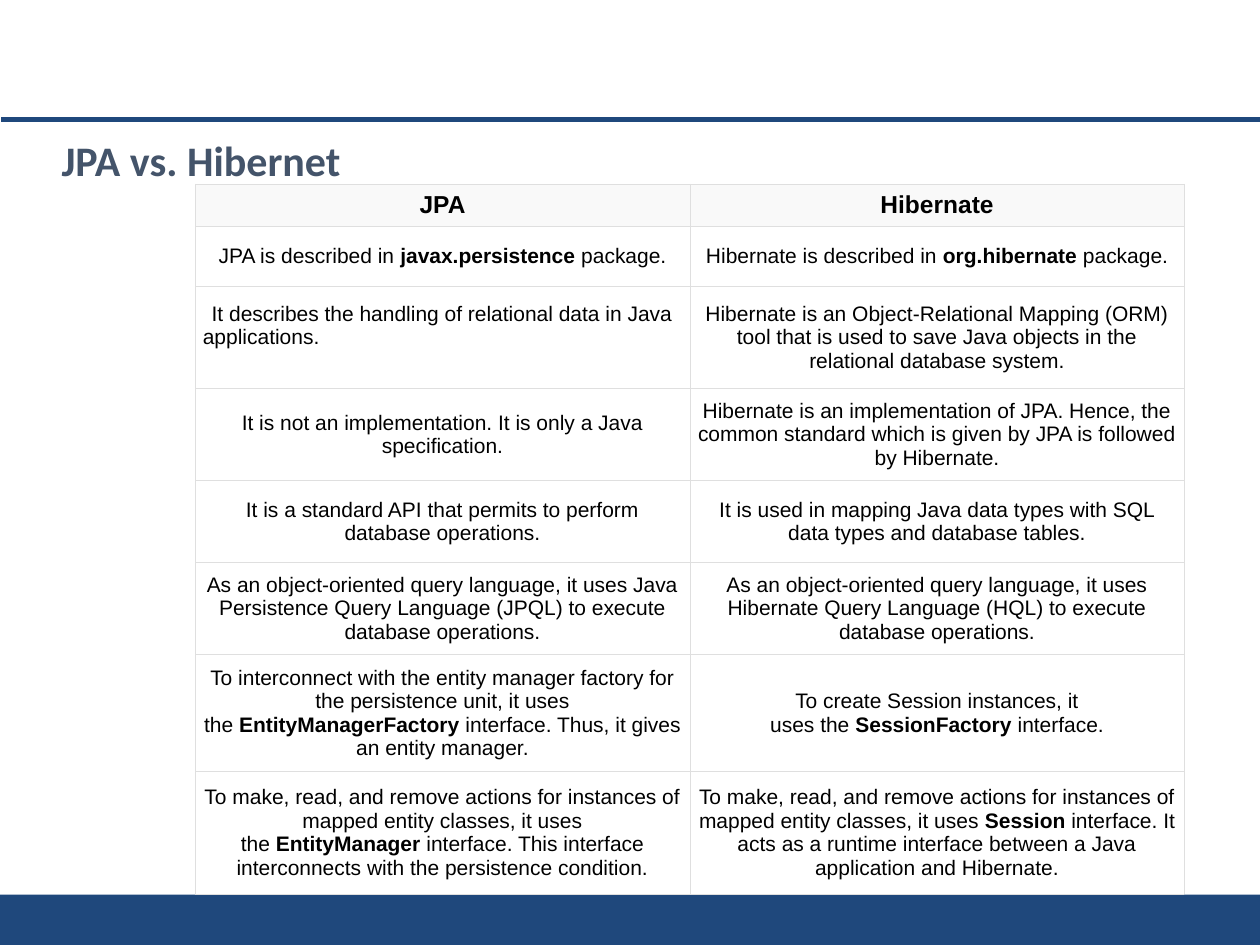
from lxml import etree
from pptx import Presentation
from pptx.dml.color import RGBColor
from pptx.enum.shapes import MSO_CONNECTOR as Link, MSO_SHAPE as Shape
from pptx.enum.text import MSO_ANCHOR as Anchor, PP_ALIGN as Align
from pptx.oxml.ns import qn
from pptx.util import Inches, Pt

NAVY = RGBColor(0x1F, 0x48, 0x7C)
SLATE = RGBColor(0x44, 0x54, 0x6A)
BLACK = RGBColor(0, 0, 0)
WHITE = RGBColor(255, 255, 255)
PALE = RGBColor(0xF9, 0xF9, 0xF9)
GRID = RGBColor(0xDF, 0xDF, 0xDF)
HARD = chr(160)  # no-break space, marked ~ in the texts below

# Row height, JPA text, Hibernate text; *stars* mark bold
ROWS = [
    (0.33, "*JPA*", "*Hibernate*"),
    (0.48, "JPA is described in~*javax.persistence*~package.",
     "Hibernate is described in~*org.hibernate*~package."),
    (0.81, "It describes the handling of relational data in Java applications.",
     "Hibernate is an Object-Relational Mapping (ORM) tool that is used to "
     "save Java objects in the relational database system."),
    (0.73, "It is not an implementation. It is only a Java specification.",
     "Hibernate is an implementation of JPA. Hence, the common standard "
     "which is given by JPA is followed by Hibernate."),
    (0.65, "It is a standard API that permits to perform database operations.",
     "It is used in mapping Java data types with SQL data types and "
     "database tables."),
    (0.73, "As an object-oriented query language, it uses Java Persistence "
     "Query Language (JPQL) to execute database operations.",
     "As an object-oriented query language, it uses Hibernate Query "
     "Language (HQL) to execute database operations."),
    (0.93, "To interconnect with the entity manager factory for the "
     "persistence unit, it uses the~*EntityManagerFactory*~interface. "
     "Thus, it gives an entity manager.",
     "To create Session instances, it uses~the~*SessionFactory*~interface."),
    (0.97, "To make, read, and remove actions for instances of mapped entity "
     "classes, it uses the~*EntityManager*~interface. This interface "
     "interconnects with the persistence condition.",
     "To make, read, and remove actions for instances of mapped entity "
     "classes, it uses~*Session*~interface. It acts as a runtime interface "
     "between a Java application and Hibernate."),
]


def add_run(para, text, size, face, color, bold):
    run = para.add_run()
    run.text = text
    font = run.font
    font.size, font.name, font.bold = Pt(size), face, bold
    font.color.rgb = color


def add_bar(slide, x, y, w, h):
    bar = slide.shapes.add_shape(
        Shape.RECTANGLE, Inches(x), Inches(y), Inches(w), Inches(h))
    bar.shadow.inherit = False
    bar.fill.solid()
    bar.fill.fore_color.rgb = NAVY
    bar.line.fill.background()


def add_head(slide, x, y, w, h):
    # Title
    box = slide.shapes.add_textbox(Inches(x), Inches(y), Inches(w), Inches(h))
    box.text_frame.word_wrap = True
    add_run(box.text_frame.paragraphs[0], "JPA vs. Hibernet",
            24, "Calibri", SLATE, True)
    # Rule above the title
    top = Inches(y - 0.07)
    rule = slide.shapes.add_connector(
        Link.STRAIGHT, Inches(0.01), top, Inches(10.06), top)
    rule.line.color.rgb = NAVY
    rule.line.width = Pt(3)
    etree.SubElement(rule.element.spPr, qn("a:effectLst"))


def add_edges(cell):
    props = cell._tc.get_or_add_tcPr()
    for spot, side in enumerate(("lnL", "lnR", "lnT", "lnB")):
        line = etree.Element(qn("a:" + side), w=str(Pt(0.15)))
        fill = etree.SubElement(line, qn("a:solidFill"))
        etree.SubElement(fill, qn("a:srgbClr"), val=str(GRID))
        props.insert(spot, line)


def fill_cell(cell, text, head):
    cell.fill.solid()
    cell.fill.fore_color.rgb = PALE if head else WHITE
    cell.vertical_anchor = Anchor.MIDDLE
    cell.margin_left = cell.margin_right = Inches(0.05)
    cell.margin_top = cell.margin_bottom = Inches(0.05 if head else 0.06)
    para = cell.text_frame.paragraphs[0]
    para.alignment = Align.CENTER
    for spot, part in enumerate(text.replace("~", HARD).split("*")):
        if part:
            add_run(para, part, 14 if head else 12, "Arial", BLACK,
                    spot % 2 == 1)
    add_edges(cell)


def add_grid(slide, x, y, w):
    high = sum(row[0] for row in ROWS)
    table = slide.shapes.add_table(
        len(ROWS), 2, Inches(x), Inches(y), Inches(w), Inches(high)).table
    table.first_row = table.horz_banding = False
    for col in table.columns:
        col.width = Inches(w / 2)
    for r, (tall, *texts) in enumerate(ROWS):
        table.rows[r].height = Inches(tall)
        for c, text in enumerate(texts):
            fill_cell(table.cell(r, c), text, r == 0)
    # The one left-set cell: first line indented, text raised a little
    cell = table.cell(2, 0)
    cell.margin_bottom = Inches(0.25)
    para = cell.text_frame.paragraphs[0]
    para.alignment = Align.LEFT
    props = para._p.get_or_add_pPr()
    props.set("marL", str(Inches(0.01)))
    props.set("indent", str(Inches(0.07)))


def main():
    deck = Presentation()
    deck.slide_width, deck.slide_height = Inches(10), Inches(7.5)
    slide = deck.slides.add_slide(deck.slide_layouts[6])
    add_bar(slide, 0, 7.1, 10, 0.46)
    add_head(slide, 0.39, 1.02, 9.18, 0.5)
    add_grid(slide, 1.55, 1.46, 7.85)
    deck.save("out.pptx")


if __name__ == "__main__":
    main()
